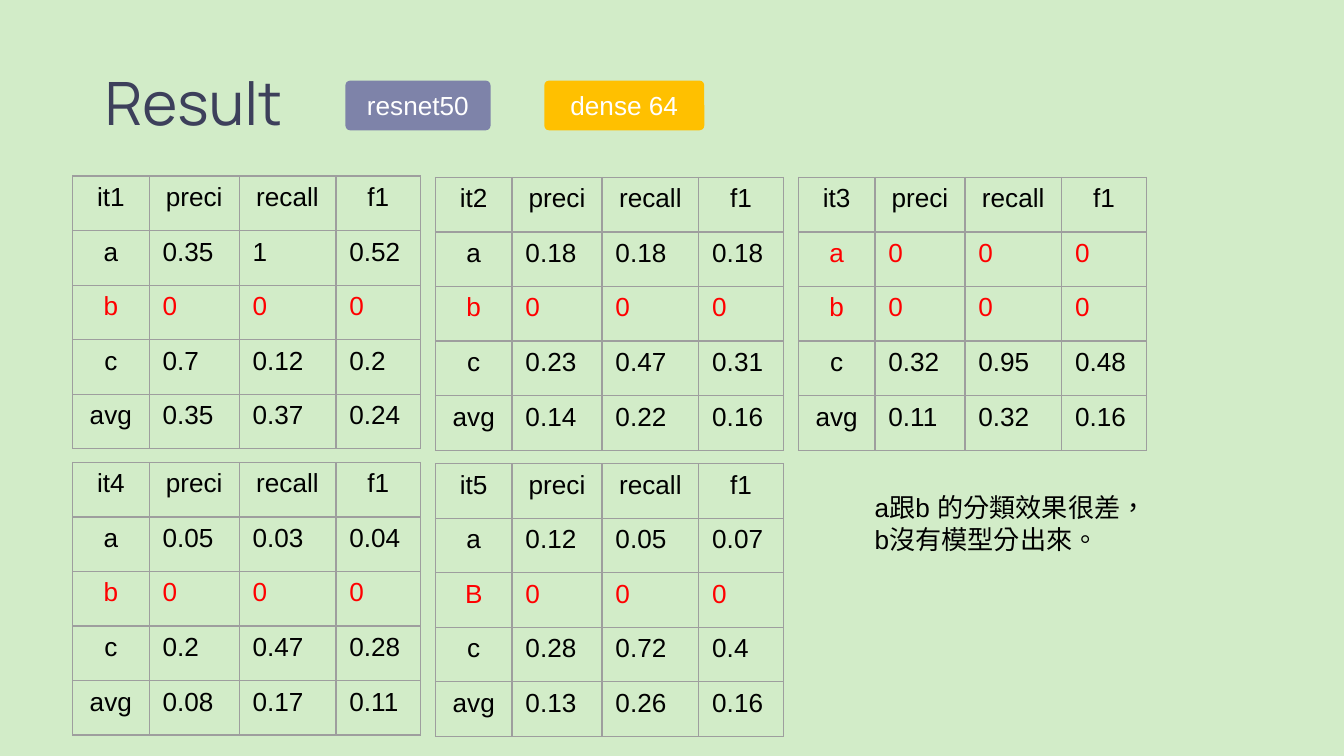
from lxml import etree
from pptx import Presentation
from pptx.dml.color import RGBColor
from pptx.enum.shapes import MSO_SHAPE
from pptx.enum.text import MSO_ANCHOR, MSO_AUTO_SIZE, PP_ALIGN
from pptx.oxml.ns import qn
from pptx.util import Inches, Pt

LEFT, CENTER = PP_ALIGN.LEFT, PP_ALIGN.CENTER
TOP, MIDDLE = MSO_ANCHOR.TOP, MSO_ANCHOR.MIDDLE
NO_AUTOFIT = MSO_AUTO_SIZE.NONE
ROUNDED = MSO_SHAPE.ROUNDED_RECTANGLE

BACKGROUND, INK, BLACK, WHITE = "D2ECC8", "3D405B", "000000", "FFFFFF"
RED, GRID, PURPLE, AMBER = "FF0000", "9E9E9E", "7E83A9", "FFC000"

METRICS = ["preci", "recall", "f1"]
COLUMN_WIDTHS = [0.57, 0.67, 0.72, 0.63]
TABLE_HEIGHT = 2.03
TABLE_LEFT, TABLE_TOP = 0.54, 1.32
STEP_X, STEP_Y, PER_ROW = 2.7, 2.13, 3

# Each iteration: class label followed by precision, recall and f1
ITERATIONS = {
    "it1": ["a 0.35 1 0.52", "b 0 0 0", "c 0.7 0.12 0.2", "avg 0.35 0.37 0.24"],
    "it2": ["a 0.18 0.18 0.18", "b 0 0 0", "c 0.23 0.47 0.31", "avg 0.14 0.22 0.16"],
    "it3": ["a 0 0 0", "b 0 0 0", "c 0.32 0.95 0.48", "avg 0.11 0.32 0.16"],
    "it4": ["a 0.05 0.03 0.04", "b 0 0 0", "c 0.2 0.47 0.28", "avg 0.08 0.17 0.11"],
    "it5": ["a 0.12 0.05 0.07", "B 0 0 0", "c 0.28 0.72 0.4", "avg 0.13 0.26 0.16"],
}


def color(hex_string):
    return RGBColor.from_string(hex_string)


def write(frame, text, size=14, font="Arial", ink=BLACK, align=LEFT):
    """Fill a text frame, one paragraph for each line of text."""
    for index, line in enumerate(text.split("\n")):
        para = frame.add_paragraph() if index else frame.paragraphs[0]
        para.alignment = align
        # Chinese punctuation stays inside the text box
        para._p.get_or_add_pPr().set("hangingPunct", "0")
        span = para.add_run()
        span.text = line
        span.font.size = Pt(size)
        span.font.name = font
        span.font.color.rgb = color(ink)
        span._r.get_or_add_rPr().set("lang", "zh-TW")


def add_title(page, text, left, top, width, height):
    title = page.shapes.title
    title.left, title.top = Inches(left), Inches(top)
    title.width, title.height = Inches(width), Inches(height)
    frame = title.text_frame
    frame.margin_left = frame.margin_right = 0
    frame.margin_top = frame.margin_bottom = 0
    frame.vertical_anchor = TOP
    frame.auto_size = NO_AUTOFIT
    write(frame, text, size=32, font="Manrope", ink=INK)


def add_tag(page, text, fill, left, top, width, height):
    tag = page.shapes.add_shape(
        ROUNDED, Inches(left), Inches(top), Inches(width), Inches(height))
    tag.adjustments[0] = 0.095
    tag.shadow.inherit = False
    tag.fill.solid()
    tag.fill.fore_color.rgb = color(fill)
    tag.line.fill.background()
    frame = tag.text_frame
    frame.margin_top = frame.margin_bottom = Inches(0.1)
    frame.vertical_anchor = MIDDLE
    write(frame, text, ink=WHITE, align=CENTER)


def set_borders(cell):
    properties = cell._tc.get_or_add_tcPr()
    for side in ("lnL", "lnR", "lnT", "lnB"):
        line = etree.SubElement(properties, qn(f"a:{side}"), w=str(Pt(0.75)))
        fill = etree.SubElement(line, qn("a:solidFill"))
        etree.SubElement(fill, qn("a:srgbClr"), val=GRID)


def add_scores(page, name, scores, left, top):
    rows = [[name] + METRICS] + [line.split() for line in scores]
    table = page.shapes.add_table(
        len(rows), len(COLUMN_WIDTHS), Inches(left), Inches(top),
        Inches(sum(COLUMN_WIDTHS)), Inches(TABLE_HEIGHT)).table
    table.first_row = table.horz_banding = False
    for column, width in zip(table.columns, COLUMN_WIDTHS):
        column.width = Inches(width)
    for r, values in enumerate(rows):
        # A class that was never predicted is marked red
        ink = RED if set(values[1:]) == {"0"} else BLACK
        for c, value in enumerate(values):
            cell = table.cell(r, c)
            set_borders(cell)
            cell.fill.background()
            align = CENTER if r == 0 or c == 0 else LEFT
            write(cell.text_frame, value, ink=ink, align=align)


def add_note(page, text, left, top, width, height):
    note = page.shapes.add_textbox(
        Inches(left), Inches(top), Inches(width), Inches(height))
    note.text_frame.word_wrap = True
    write(note.text_frame, text)


def build_result_page(deck):
    page = deck.slides.add_slide(deck.slide_layouts[5])
    page.background.fill.solid()
    page.background.fill.fore_color.rgb = color(BACKGROUND)

    # Heading with model tags
    add_title(page, "Result", 0.78, 0.49, 8.43, 0.59)
    add_tag(page, "resnet50", PURPLE, 2.57, 0.6, 1.08, 0.37)
    add_tag(page, "dense 64", AMBER, 4.05, 0.6, 1.19, 0.37)

    # Grid of score tables; the first column sits slightly higher
    for index, (name, scores) in enumerate(ITERATIONS.items()):
        row, column = divmod(index, PER_ROW)
        lift = 0 if column else 0.01
        add_scores(page, name, scores, TABLE_LEFT + column * STEP_X,
                   TABLE_TOP + row * STEP_Y - lift)

    # Conclusion
    add_note(page, "a跟b 的分類效果很差，\nb沒有模型分出來。", 6.41, 3.61, 2.24, 0.81)


def main():
    deck = Presentation()
    # Widescreen page, 16:9
    deck.slide_width = Inches(10)
    deck.slide_height = deck.slide_width * 9 // 16
    build_result_page(deck)
    deck.save("out.pptx")


if __name__ == "__main__":
    main()
